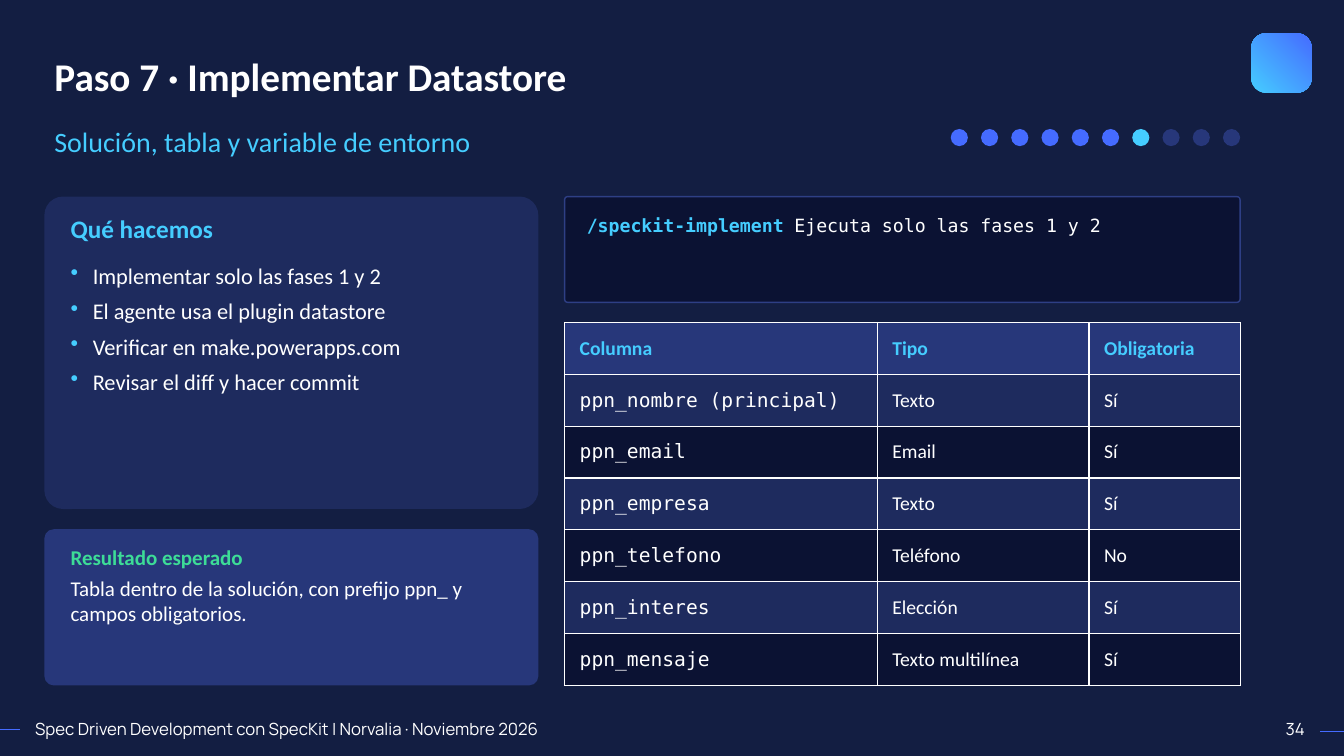
from dataclasses import dataclass

import pptx
import pptx.dml.color
import pptx.enum.shapes
import pptx.enum.text
import pptx.oxml
import pptx.oxml.ns
import pptx.util

SHAPE = pptx.enum.shapes.MSO_SHAPE
ANCHOR = pptx.enum.text.MSO_ANCHOR
ALIGN = pptx.enum.text.PP_ALIGN
IN = pptx.util.Inches
WIDTH, HEIGHT = 13.33, 7.5


@dataclass(frozen=True)
class Theme:
    bg: str = "131E42"
    white: str = "FFFFFF"
    cyan: str = "45CDFF"
    blue: str = "456BFF"
    green: str = "3DDC97"
    card: str = "1E2B5E"
    raised: str = "27377A"
    dark: str = "0B1233"
    edge: str = "2E3F85"
    sans: str = "Calibri"
    mono: str = "DejaVu Sans Mono"
    brand: str = "Manrope"
    title: int = 28
    subtitle: int = 20
    heading: int = 18
    body: int = 16
    note: int = 15
    cell: int = 14
    code: int = 13
    footer: int = 12


T = Theme()


@dataclass(frozen=True)
class Box:
    x: float
    y: float
    w: float
    h: float

    @property
    def emu(self):
        return IN(self.x), IN(self.y), IN(self.w), IN(self.h)

    def area(self, dx, dy, w, h):
        return Box(self.x + dx, self.y + dy, w, h)

    def split_columns(self, gap, *shares):
        unit = (self.w - gap * (len(shares) - 1)) / sum(shares)
        return [self.area(unit * sum(shares[:i]) + gap * i, 0, unit * share, self.h)
                for i, share in enumerate(shares)]

    def split_rows(self, gap, *shares):
        unit = (self.h - gap * (len(shares) - 1)) / sum(shares)
        return [self.area(0, unit * sum(shares[:i]) + gap * i, self.w, unit * share)
                for i, share in enumerate(shares)]


def rgb(color):
    return pptx.dml.color.RGBColor.from_string(color)


def add_run(p, text, size, color=T.white, font=T.sans, bold=False):
    r = p.add_run()
    r.text = text
    r.font.size, r.font.name, r.font.bold = pptx.util.Pt(size), font, bold
    r.font.color.rgb = rgb(color)


def add_text(slide, box, inset=0, anchor=ANCHOR.TOP):
    tf = slide.shapes.add_textbox(*box.emu).text_frame
    tf.word_wrap = True
    tf.vertical_anchor = anchor
    tf.margin_left = tf.margin_right = IN(inset)
    tf.margin_top = tf.margin_bottom = 0
    return tf


def add_panel(slide, box, fill, radius=None, kind=SHAPE.ROUNDED_RECTANGLE):
    sp = slide.shapes.add_shape(kind, *box.emu)
    sp.shadow.inherit = False
    sp.fill.solid()
    sp.fill.fore_color.rgb = rgb(fill)
    sp.line.fill.background()
    if radius is not None:
        sp.adjustments[0] = radius
    return sp


def add_bullet(p, indent, color):
    pPr = p._p.get_or_add_pPr()
    pPr.set("marL", str(IN(indent)))
    pPr.set("indent", str(-IN(indent)))
    ns = pptx.oxml.ns.nsdecls("a")
    for xml in (f'<a:buClr {ns}><a:srgbClr val="{color}"/></a:buClr>',
                f'<a:buChar {ns} char="•"/>'):
        pPr.append(pptx.oxml.parse_xml(xml))


def add_rule(slide, x1, x2, y):
    line = slide.shapes.add_connector(
        pptx.enum.shapes.MSO_CONNECTOR.STRAIGHT, IN(x1), IN(y), IN(x2), IN(y))
    line.line.color.rgb = rgb(T.blue)
    line.line.width = pptx.util.Pt(0.5)
    line._element.spPr.append(
        pptx.oxml.parse_xml(f'<a:effectLst {pptx.oxml.ns.nsdecls("a")}/>'))


def add_footer(slide, box, text, number):
    add_rule(slide, WIDTH - 0.24, WIDTH, box.y + 0.14)
    add_rule(slide, 0, 0.2, box.y + 0.12)
    for area, words, align in ((box.area(0, 0, 7.43, box.h), text, ALIGN.LEFT),
                               (box.area(box.w - 0.6, 0, 0.6, box.h), number, ALIGN.RIGHT)):
        p = add_text(slide, area, 0.1, ANCHOR.MIDDLE).paragraphs[0]
        p.alignment = align
        add_run(p, words, T.footer, font=T.brand)


def add_badge(slide, box):
    sp = add_panel(slide, box, T.blue, 0.25)
    sp.fill.gradient()
    sp.fill.gradient_angle = 45
    for stop, color in zip(sp.fill.gradient_stops, (T.cyan, T.blue)):
        stop.color.rgb = rgb(color)


def add_header(slide, box, title, subtitle):
    sp = slide.shapes.title
    sp.left, sp.top, sp.width, sp.height = box.area(0, 0, box.w, 0.84).emu
    tf = sp.text_frame
    tf.vertical_anchor = ANCHOR.MIDDLE
    tf.auto_size = pptx.enum.text.MSO_AUTO_SIZE.NONE
    tf.paragraphs[0].alignment = ALIGN.LEFT
    add_run(tf.paragraphs[0], title, T.title, bold=True)
    tf = add_text(slide, box.area(0, 0.91, 8.5, 0.37), 0.1)
    add_run(tf.paragraphs[0], subtitle, T.subtitle, T.cyan)


def add_progress(slide, box, step, total):
    pitch = (box.w - box.h) / (total - 1)
    for i in range(1, total + 1):
        color = T.blue if i < step else T.cyan if i == step else T.raised
        dot = box.area(pitch * (i - 1), 0, box.h, box.h)
        add_panel(slide, dot, color, kind=SHAPE.OVAL)


def add_tasks(slide, box, heading, tasks):
    add_panel(slide, box, T.card, 0.06)
    tf = add_text(slide, box.area(0.26, 0.17, box.w - 0.5, 0.4))
    add_run(tf.paragraphs[0], heading, T.heading, T.cyan, bold=True)
    tf = add_text(slide, box.area(0.26, 0.65, box.w - 0.45, box.h - 0.75))
    for i, task in enumerate(tasks):
        p = tf.add_paragraph() if i else tf.paragraphs[0]
        add_bullet(p, 0.22, T.cyan)
        p.space_after = pptx.util.Pt(6)
        add_run(p, task, T.body)


def add_result(slide, box, heading, text):
    add_panel(slide, box, T.raised, 0.06)
    tf = add_text(slide, box.area(0.26, 0.15, box.w - 0.5, box.h - 0.3))
    tf.paragraphs[0].space_after = pptx.util.Pt(4)
    add_run(tf.paragraphs[0], heading, T.note, T.green, bold=True)
    add_run(tf.add_paragraph(), text, T.note)


def add_command(slide, box, command, arguments):
    sp = add_panel(slide, box, T.dark, 0.03)
    sp.line.color.rgb = rgb(T.edge)
    sp.line.width = pptx.util.Pt(1)
    p = add_text(slide, box.area(0.22, 0.18, box.w - 0.44, box.h - 0.3)).paragraphs[0]
    add_run(p, command, T.code, T.cyan, T.mono, True)
    add_run(p, arguments, T.code, font=T.mono)


def add_columns_table(slide, box, widths, rows):
    """Draw the field table; the built-in table style supplies its white borders."""
    table = slide.shapes.add_table(len(rows), len(widths), *box.emu).table
    for column, width in zip(table.columns, widths):
        column.width = IN(width)
    for i, row in enumerate(rows):
        for j, text in enumerate(row):
            cell = table.cell(i, j)
            cell.fill.solid()
            cell.fill.fore_color.rgb = rgb(T.raised if i == 0 else T.card if i % 2 else T.dark)
            cell.vertical_anchor = ANCHOR.MIDDLE
            cell.margin_left = IN(0.15)
            add_run(cell.text_frame.paragraphs[0], text, T.cell,
                    T.white if i else T.cyan, T.mono if i and j == 0 else T.sans, i == 0)


def build_step_slide(prs):
    slide = prs.slides.add_slide(prs.slide_layouts[5])
    slide.background.fill.solid()
    slide.background.fill.fore_color.rgb = rgb(T.bg)
    add_footer(slide, Box(0.25, 7.12, 12.79, 0.23),
               "Spec Driven Development con SpecKit | Norvalia · Noviembre 2026", "34")
    add_badge(slide, Box(12.41, 0.33, 0.6, 0.59))
    add_header(slide, Box(0.44, 0.33, 11.86, 1.23),
               "Paso 7 · Implementar Datastore", "Solución, tabla y variable de entorno")
    add_progress(slide, Box(9.43, 1.28, 2.87, 0.17), 7, 10)
    left, right = Box(0.44, 1.95, 11.86, 4.85).split_columns(0.26, 49, 67)
    tasks, result = left.split_rows(0.2, 2, 1)
    command, table = right.split_rows(0.2, 21, 72)
    add_tasks(slide, tasks, "Qué hacemos", [
        "Implementar solo las fases 1 y 2", "El agente usa el plugin datastore",
        "Verificar en make.powerapps.com", "Revisar el diff y hacer commit"])
    add_result(slide, result, "Resultado esperado",
               "Tabla dentro de la solución, con prefijo ppn_ y campos obligatorios.")
    add_command(slide, command, "/speckit-implement", " Ejecuta solo las fases 1 y 2")
    add_columns_table(slide, table, (3.1, 2.1, 1.5), [
        ("Columna", "Tipo", "Obligatoria"), ("ppn_nombre (principal)", "Texto", "Sí"),
        ("ppn_email", "Email", "Sí"), ("ppn_empresa", "Texto", "Sí"),
        ("ppn_telefono", "Teléfono", "No"), ("ppn_interes", "Elección", "Sí"),
        ("ppn_mensaje", "Texto multilínea", "Sí")])


def main():
    prs = pptx.Presentation()
    prs.slide_width, prs.slide_height = IN(WIDTH), IN(HEIGHT)
    build_step_slide(prs)
    prs.save("out.pptx")


if __name__ == "__main__":
    main()
